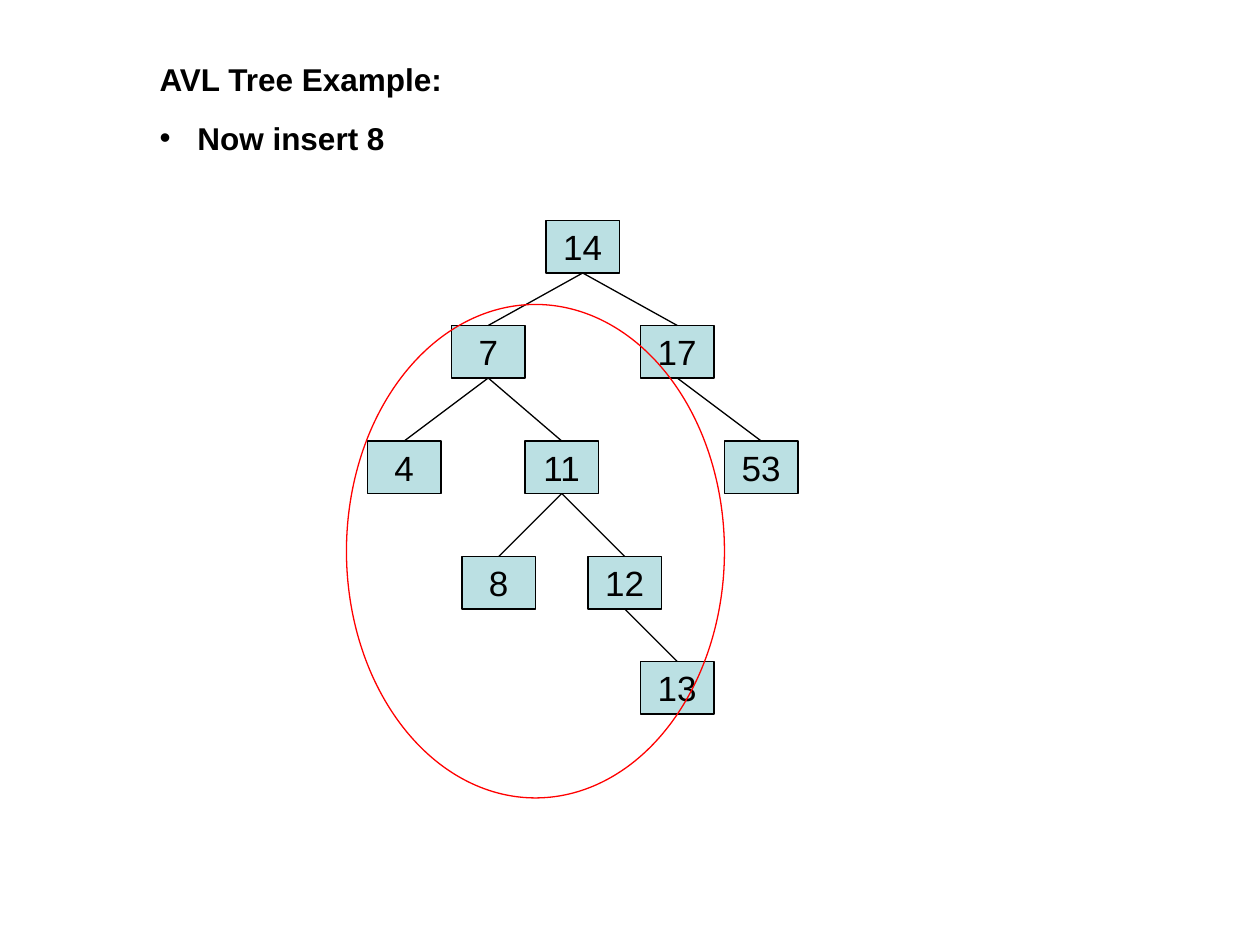
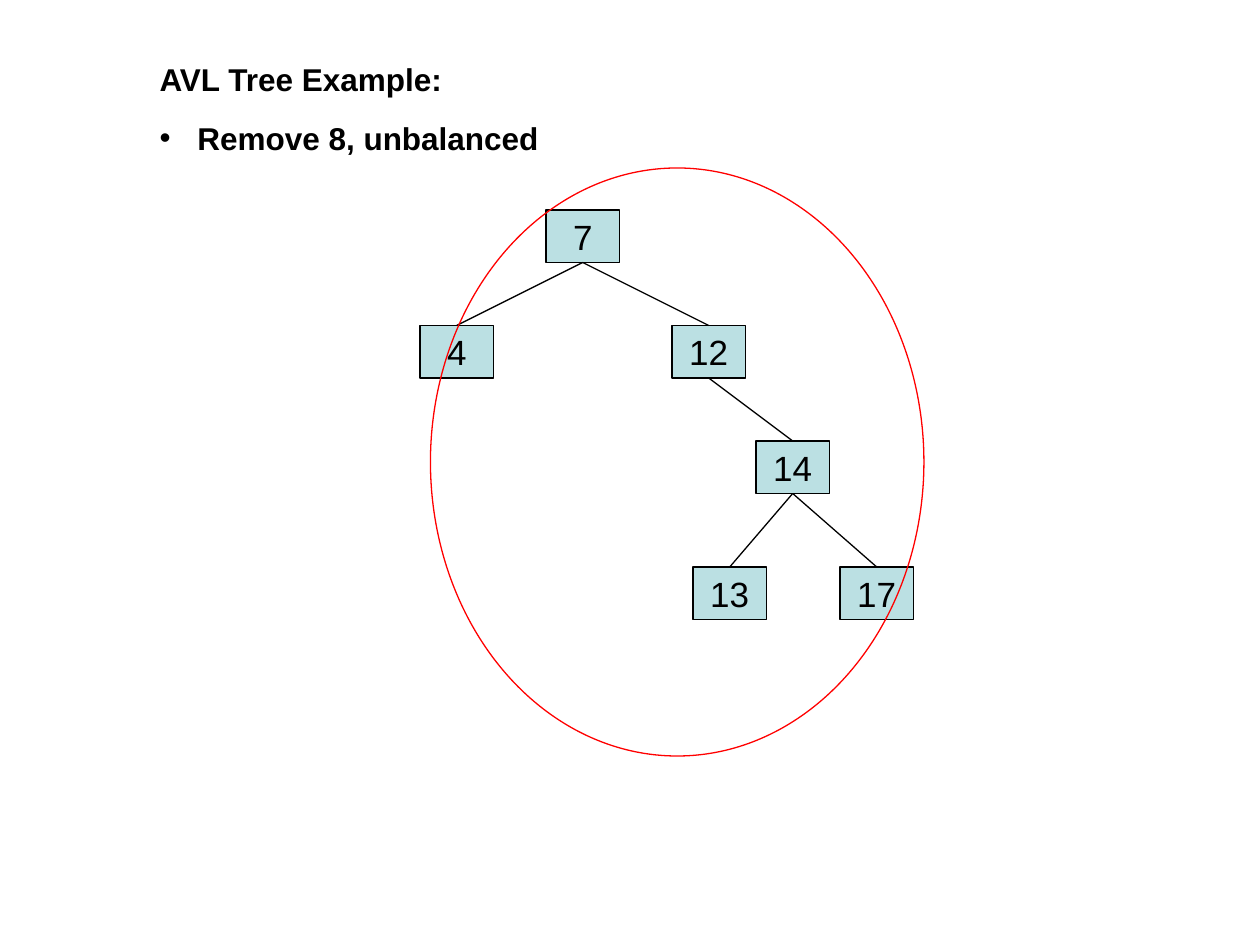
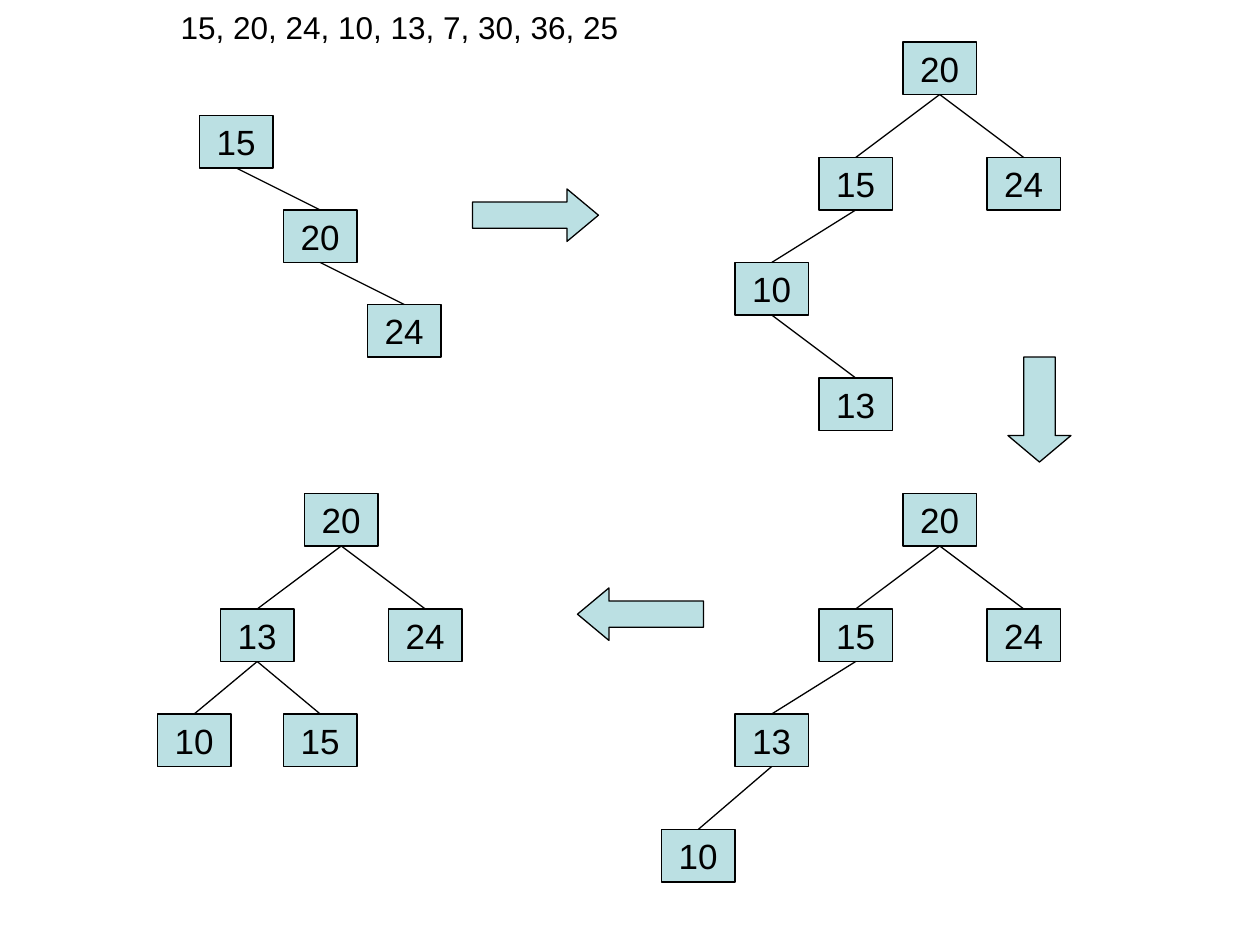
from dataclasses import dataclass

from lxml import etree
from pptx import Presentation
from pptx.dml.color import RGBColor
from pptx.enum.shapes import MSO_CONNECTOR, MSO_SHAPE
from pptx.enum.text import MSO_ANCHOR, MSO_AUTO_SIZE, PP_ALIGN
from pptx.oxml.ns import qn
from pptx.util import Pt

STRAIGHT = MSO_CONNECTOR.STRAIGHT
RECTANGLE, OVAL = MSO_SHAPE.RECTANGLE, MSO_SHAPE.OVAL
RIGHT_ARROW, DOWN_ARROW, LEFT_ARROW = (
    MSO_SHAPE.RIGHT_ARROW, MSO_SHAPE.DOWN_ARROW, MSO_SHAPE.LEFT_ARROW)
TOP, MIDDLE = MSO_ANCHOR.TOP, MSO_ANCHOR.MIDDLE
LEFT, CENTER = PP_ALIGN.LEFT, PP_ALIGN.CENTER
NO_AUTOFIT = MSO_AUTO_SIZE.NONE
TITLE_ONLY = 5
TOP_SITE, BOTTOM_SITE = 0, 2  # connection sites of a rectangle


@dataclass(frozen=True)
class Theme:
    font: str = "Arial"
    ink: RGBColor = RGBColor(0, 0, 0)
    node_fill: RGBColor = RGBColor(0xBB, 0xE0, 0xE3)
    highlight: RGBColor = RGBColor(0xFF, 0, 0)
    title_size: float = 18
    node_size: float = 20
    line_width: float = 0.74
    line_spacing: float = 1.04
    bullet_indent: float = 21.6
    node_width: float = 42
    node_height: float = 30


THEME = Theme()

# Content: lengths in points; each tree maps a key to (left, top, parent key)
SLIDES = [
    {
        "title": "AVL Tree Example:", "bullet": "Now insert 8",
        "title_box": (84, 30, 564, 62), "bold": True, "indent": 0, "space": 11.2,
        "trees": [{
            14: (312, 126, None),
            7: (258, 186, 14), 17: (366, 186, 14),
            4: (210, 252, 7), 11: (300, 252, 7), 53: (414, 252, 17),
            8: (264, 318, 11), 12: (336, 318, 11),
            13: (366, 378, 12),
        }],
        "ring": (198, 174, 216, 282),
    },
    {
        "title": "AVL Tree Example:", "bullet": "Remove 8, unbalanced",
        "title_box": (84, 30, 606, 62), "bold": True, "indent": 0, "space": 11.2,
        "trees": [{
            7: (312, 120, None),
            4: (240, 186, 7), 12: (384, 186, 7),
            14: (432, 252, 12),
            13: (396, 324, 14), 17: (480, 324, 14),
        }],
        "ring": (246, 96, 282, 336),
    },
    {
        "title": "15, 20, 24, 10, 13, 7, 30, 36, 25",
        "title_box": (60, 0, 588, 29), "bold": False, "indent": 36, "space": 4.5,
        "trees": [
            {15: (114, 66, None), 20: (162, 120, 15), 24: (210, 174, 20)},
            {20: (516, 24, None), 15: (468, 90, 20), 24: (564, 90, 20),
             10: (420, 150, 15), 13: (468, 216, 10)},
            {20: (516, 282, None), 15: (468, 348, 20), 24: (564, 348, 20),
             13: (420, 408, 15), 10: (378, 474, 13)},
            {20: (174, 282, None), 13: (126, 348, 20), 24: (222, 348, 20),
             10: (90, 408, 13), 15: (162, 408, 13)},
        ],
        # shape, box, head length as a share of the arrow's thickness
        "arrows": [
            (RIGHT_ARROW, (270, 108, 72, 30), 0.6),
            (DOWN_ARROW, (576, 204, 36, 60), 0.42),
            (LEFT_ARROW, (330, 336, 72, 30), 0.6),
        ],
    },
]


def style_line(line, color):
    line.color.rgb = color
    line.width = Pt(THEME.line_width)


def style_font(paragraph, size, bold=False):
    font = paragraph.font
    font.name, font.size, font.bold = THEME.font, Pt(size), bold
    font.color.rgb = THEME.ink


def add_shape(page, kind, box, outline, fill=None):
    shape = page.shapes.add_shape(kind, *map(Pt, box))
    shape.shadow.inherit = False
    style_line(shape.line, outline)
    if fill is None:
        shape.fill.background()
    else:
        shape.fill.solid()
        shape.fill.fore_color.rgb = fill
    return shape


def add_bullet(paragraph):
    properties = paragraph._p.get_or_add_pPr()
    properties.set("marL", str(Pt(THEME.bullet_indent)))
    properties.set("indent", str(-Pt(THEME.bullet_indent)))
    etree.SubElement(properties, qn("a:buFont")).set("typeface", THEME.font)
    etree.SubElement(properties, qn("a:buChar")).set("char", "•")


def fill_title(page, content):
    title = page.shapes.title
    title.left, title.top, title.width, title.height = map(Pt, content["title_box"])
    frame = title.text_frame
    frame.word_wrap, frame.auto_size = True, NO_AUTOFIT
    frame.vertical_anchor = TOP
    frame.margin_left = frame.margin_right = Pt(7.2)
    frame.margin_top = frame.margin_bottom = Pt(3.6)

    heading = frame.paragraphs[0]
    heading.text = content["title"]
    heading._p.get_or_add_pPr().set("marL", str(Pt(content["indent"])))
    if "bullet" in content:
        frame.add_paragraph().text = content["bullet"]
    for paragraph in frame.paragraphs:
        paragraph.alignment = LEFT
        paragraph.line_spacing = THEME.line_spacing
        paragraph.space_before = Pt(content["space"])
        if paragraph.text == content.get("bullet"):
            add_bullet(paragraph)
        style_font(paragraph, THEME.title_size, content["bold"])


def add_node(page, key, left, top):
    box = (left, top, THEME.node_width, THEME.node_height)
    node = add_shape(page, RECTANGLE, box, THEME.ink, THEME.node_fill)
    frame = node.text_frame
    frame.word_wrap = False
    frame.vertical_anchor = MIDDLE
    paragraph = frame.paragraphs[0]
    paragraph.text = str(key)
    paragraph.alignment = CENTER
    style_font(paragraph, THEME.node_size)
    return node


def add_edge(page, parent, child):
    edge = page.shapes.add_connector(STRAIGHT, 0, 0, 0, 0)
    edge.begin_connect(parent, BOTTOM_SITE)
    edge.end_connect(child, TOP_SITE)
    style_line(edge.line, THEME.ink)
    etree.SubElement(edge._element.spPr, qn("a:effectLst"))


def add_tree(page, tree):
    nodes = {key: add_node(page, key, left, top)
             for key, (left, top, parent) in tree.items()}
    for key, (left, top, parent) in tree.items():
        if parent is not None:
            add_edge(page, nodes[parent], nodes[key])


deck = Presentation()
deck.slide_width, deck.slide_height = Pt(720), Pt(540)

for content in SLIDES:
    page = deck.slides.add_slide(deck.slide_layouts[TITLE_ONLY])
    fill_title(page, content)
    for tree in content["trees"]:
        add_tree(page, tree)
    # Arrows between the steps
    for kind, box, head in content.get("arrows", []):
        arrow = add_shape(page, kind, box, THEME.ink, THEME.node_fill)
        arrow.adjustments[0], arrow.adjustments[1] = 0.5, head
    # Ring around the unbalanced part
    if "ring" in content:
        add_shape(page, OVAL, content["ring"], THEME.highlight)

deck.save("out.pptx")
